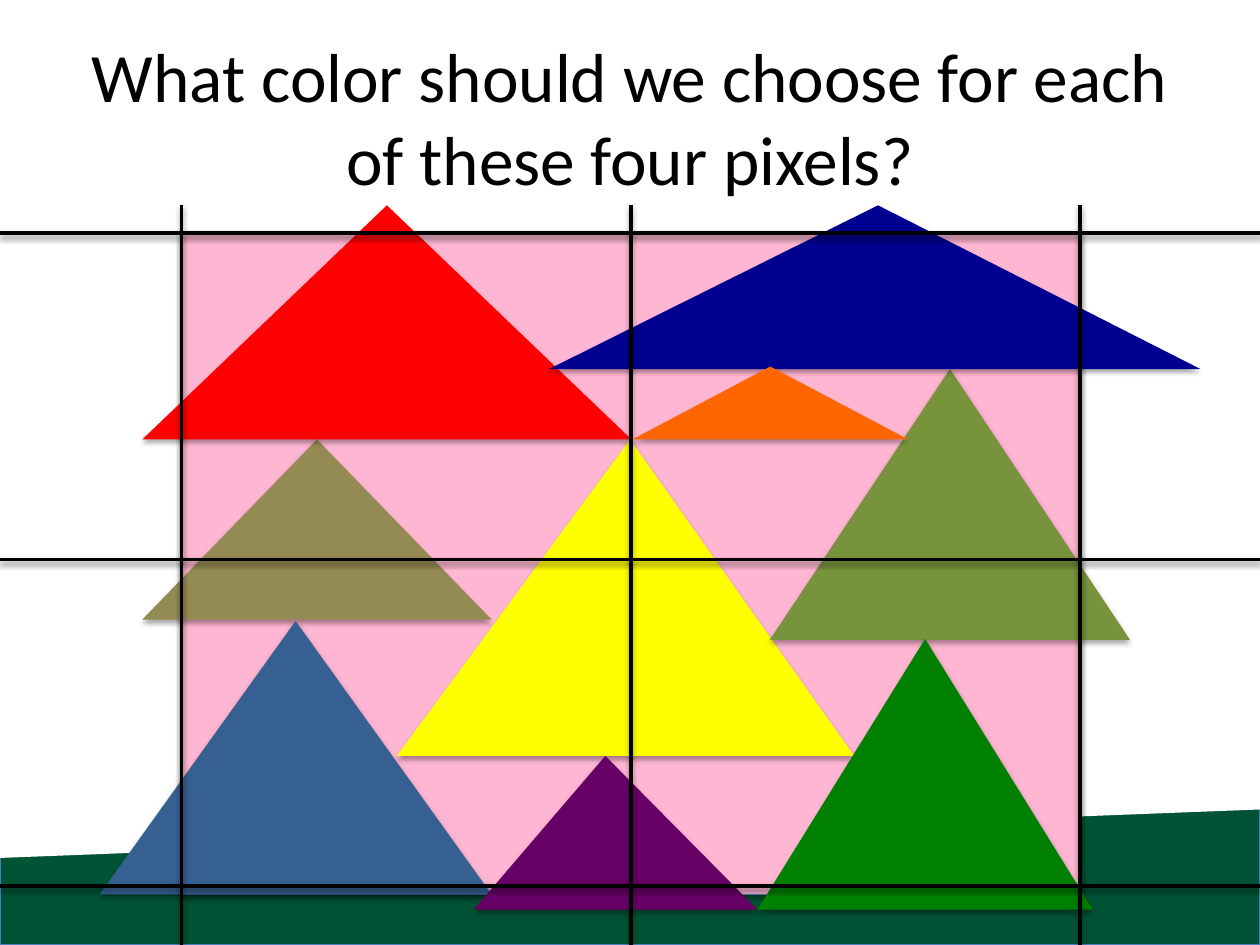
from lxml import etree
from pptx import Presentation
from pptx.dml.color import RGBColor
from pptx.enum.shapes import MSO_CONNECTOR, MSO_SHAPE
from pptx.enum.text import MSO_ANCHOR, MSO_AUTO_SIZE, PP_ALIGN
from pptx.oxml.ns import qn
from pptx.util import Cm, Pt

RECTANGLE = MSO_SHAPE.RECTANGLE
TRIANGLE = MSO_SHAPE.ISOSCELES_TRIANGLE
PARALLELOGRAM = MSO_SHAPE.PARALLELOGRAM
STRAIGHT = MSO_CONNECTOR.STRAIGHT
MIDDLE = MSO_ANCHOR.MIDDLE
CENTER = PP_ALIGN.CENTER
NO_AUTOFIT = MSO_AUTO_SIZE.NONE

# All boxes are left, top, width, height in centimetres
SLIDE_WIDTH, SLIDE_HEIGHT = 25.4, 19.05
TITLE_BOX = (1.27, 0.76, 22.86, 3.18)
GROUND_BOX = (0, 14.25, 25.4, 4.8)
SCENE_BOX = (3.66, 4.7, 18.11, 13.34)
GRID_BOX = (3.66, 4.7, 18.11, 13.16)
GRID_OVERHANG = 0.56
OUTLINE = "4B7EBC"

# Offset from the scene corner, size, apex position, colour
TRIANGLES = [
    (-0.79, 4.16, 7.04, 3.63, 0.5, "948A54"),
    (4.34, 4.16, 9.22, 6.38, 0.51, "FFFF00"),
    (11.86, 2.74, 7.26, 5.46, 0.5, "77933C"),
    (-1.65, 7.82, 7.9, 5.51, 0.5, "376092"),
    (5.89, 10.54, 5.72, 3.1, 0.464, "660066"),
    (11.61, 8.18, 6.76, 5.46, 0.5, "008000"),
    (-0.79, -0.56, 9.86, 4.72, 0.5, "FF0000"),
    (7.41, -0.56, 13.13, 3.3, 0.505, "000090"),
    (9.09, 2.69, 5.56, 1.47, 0.5, "FF6600"),
]


def color(hex_value):
    return RGBColor.from_string(hex_value)


def add_shadow(shape, distance, opacity):
    """Give a shape or connector a soft shadow straight below it."""
    effects = etree.SubElement(shape._element.spPr, qn("a:effectLst"))
    shadow = etree.SubElement(
        effects, qn("a:outerShdw"), blurRad=str(Pt(3.1)), dist=str(Pt(distance)),
        dir="5400000", rotWithShape="0")
    black = etree.SubElement(shadow, qn("a:srgbClr"), val="000000")
    etree.SubElement(black, qn("a:alpha"), val=str(opacity * 1000))


def add_figure(slide, kind, box, fill=None, line=None, shadow=True):
    shape = slide.shapes.add_shape(kind, *map(Cm, box))
    if fill:
        shape.fill.solid()
        shape.fill.fore_color.rgb = color(fill)
    else:
        shape.fill.background()
    if line:
        shape.line.color.rgb = color(line)
        shape.line.width = Pt(0.75)
    else:
        shape.line.fill.background()
    if shadow:
        add_shadow(shape, 1.8, 35)
    else:
        shape.shadow.inherit = False
    return shape


def add_grid_line(slide, x1, y1, x2, y2):
    line = slide.shapes.add_connector(STRAIGHT, Cm(x1), Cm(y1), Cm(x2), Cm(y2))
    line.line.color.rgb = color("000000")
    line.line.width = Pt(2)
    add_shadow(line, 1.6, 38)


def format_title(slide, box, text):
    title = slide.shapes.title
    title.left, title.top, title.width, title.height = map(Cm, box)
    frame = title.text_frame
    frame.text = text
    frame.word_wrap = True
    frame.auto_size = NO_AUTOFIT
    frame.vertical_anchor = MIDDLE
    paragraph = frame.paragraphs[0]
    paragraph.alignment = CENTER
    paragraph.font.name = "Calibri"
    paragraph.font.size = Pt(39.6)
    paragraph.font.color.rgb = color("000000")


def add_ground(slide, box):
    """Green ground whose upper edge is cut by a slanted white sheet."""
    left, top, width, _ = box
    add_figure(slide, RECTANGLE, box, "005334", OUTLINE)
    # The sheet lies on its side, so its length spans the ground
    thickness = 5.89
    sheet_box = (left + (width - thickness) / 2, top - 12.6, thickness, width)
    sheet = add_figure(slide, PARALLELOGRAM, sheet_box, "FFFFFF", shadow=False)
    sheet.adjustments[0] = 0.166
    sheet.rotation = 90
    sheet._element.spPr.find(qn("a:xfrm")).set("flipH", "1")


def add_scene(slide, box):
    """Pink backdrop with the coloured triangles on it."""
    left, top = box[:2]
    add_figure(slide, RECTANGLE, box, "FFB6D2", OUTLINE)
    for x, y, width, height, apex, fill in TRIANGLES:
        triangle = add_figure(
            slide, TRIANGLE, (left + x, top + y, width, height), fill)
        triangle.adjustments[0] = apex


def add_pixel_grid(slide, box):
    """Frame and lines that divide the scene into four pixels."""
    left, top, width, height = box
    add_figure(slide, RECTANGLE, box, line="000000")
    for step in range(3):
        x = left + step * width / 2
        y = top + step * height / 2
        add_grid_line(slide, 0, y, SLIDE_WIDTH, y)
        add_grid_line(slide, x, top - GRID_OVERHANG, x, SLIDE_HEIGHT)


def main():
    presentation = Presentation()
    presentation.slide_width = Cm(SLIDE_WIDTH)
    presentation.slide_height = Cm(SLIDE_HEIGHT)
    title_only = presentation.slide_layouts[5]
    slide = presentation.slides.add_slide(title_only)
    format_title(slide, TITLE_BOX,
                 "What color should we choose for each of these four pixels?")
    add_ground(slide, GROUND_BOX)
    add_scene(slide, SCENE_BOX)
    add_pixel_grid(slide, GRID_BOX)
    presentation.save("out.pptx")


if __name__ == "__main__":
    main()
